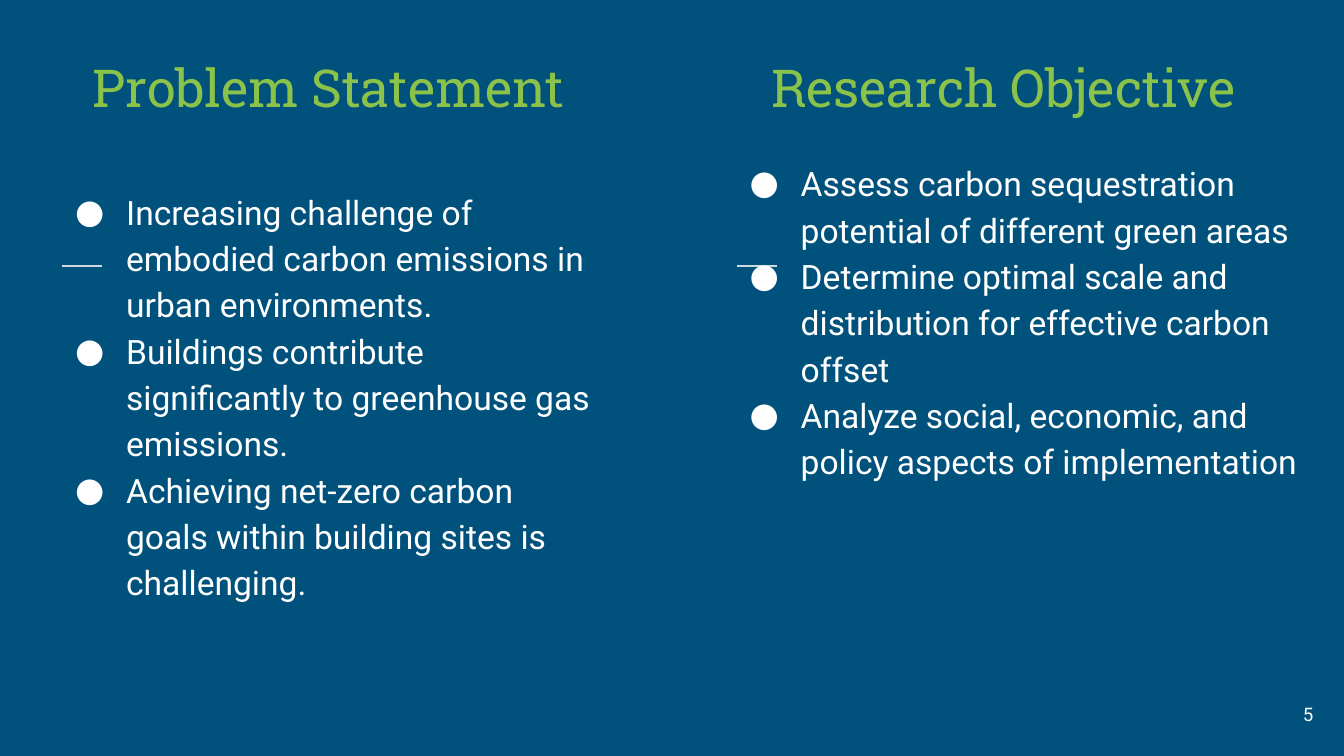
from dataclasses import dataclass

from lxml.etree import SubElement
from pptx import Presentation
from pptx.dml.color import RGBColor
from pptx.enum.shapes import MSO_CONNECTOR
from pptx.enum.text import MSO_ANCHOR, PP_ALIGN
from pptx.oxml.ns import qn
from pptx.util import Inches, Pt


@dataclass(frozen=True)
class Theme:
    back: str = "00517C"
    head: str = "8BC34A"
    text: str = "FFFFFF"
    rule: str = "CFD8DC"
    slab: str = "Roboto Slab"
    sans: str = "Roboto"
    large: int = 28
    body: int = 18
    small: int = 10


THEME = Theme()

COLUMNS = [
    (0.34, 4.21, 4.07, 0.31, "Problem Statement", [
        "Increasing challenge of embodied carbon emissions in urban environments.",
        "Buildings contribute significantly to greenhouse gas emissions.",
        "Achieving net-zero carbon goals within building sites is challenging.",
    ]),
    (5.36, 4.5, 4.32, 0.1, "Research Objective", [
        "Assess carbon sequestration potential of different green areas",
        "Determine optimal scale and distribution for effective carbon offset",
        "Analyze social, economic, and policy aspects of implementation",
    ]),
]


def add_text(slide, box, lines, font, size, color, align=PP_ALIGN.LEFT):
    frame = slide.shapes.add_textbox(*map(Inches, box)).text_frame
    frame.word_wrap = True
    frame.margin_left = frame.margin_right = Inches(0.1)
    frame.margin_top = frame.margin_bottom = Inches(0.1)
    frame.text = "\n".join(lines)
    for para in frame.paragraphs:
        para.alignment = align
        para.font.name = font
        para.font.size = Pt(size)
        para.font.color.rgb = RGBColor.from_string(color)
    return frame


def add_rule(slide, left, top, width):
    rule = slide.shapes.add_connector(
        MSO_CONNECTOR.STRAIGHT,
        Inches(left), Inches(top), Inches(left + width), Inches(top))
    rule.line.color.rgb = RGBColor.from_string(THEME.rule)
    rule.line.width = Pt(0.75)
    SubElement(rule._element.spPr, qn("a:effectLst"))


def add_list(slide, box, inset, items):
    frame = add_text(slide, box, items, THEME.sans, THEME.body, THEME.text)
    frame.margin_top = Inches(inset)
    for para in frame.paragraphs:
        para.line_spacing = 1.15
        props = para._p.get_or_add_pPr()
        props.set("marL", str(Inches(0.5)))
        props.set("indent", str(Inches(-0.38)))
        color = SubElement(props, qn("a:buClr"))
        SubElement(color, qn("a:srgbClr"), val=THEME.text)
        SubElement(props, qn("a:buFont"), typeface=THEME.sans)
        SubElement(props, qn("a:buChar"), char="●")


def add_column(slide, left, width, height, inset, title, items):
    add_text(slide, (left, 0.31, 4.21, 0.68), [title],
             THEME.slab, THEME.large, THEME.head, PP_ALIGN.CENTER)
    add_rule(slide, left + 0.12, 1.98, 0.3)
    add_list(slide, (left, 1.07, width, height), inset, items)


def main():
    deck = Presentation()
    deck.slide_width = Inches(10)
    deck.slide_height = Inches(10) * 9 // 16
    slide = deck.slides.add_slide(deck.slide_layouts[6])
    fill = slide.background.fill
    fill.solid()
    fill.fore_color.rgb = RGBColor.from_string(THEME.back)
    for column in COLUMNS:
        add_column(slide, *column)
    number = add_text(slide, (9.27, 5.1, 0.6, 0.43), ["5"],
                      THEME.sans, THEME.small, THEME.text, PP_ALIGN.RIGHT)
    number.vertical_anchor = MSO_ANCHOR.MIDDLE
    deck.save("out.pptx")


if __name__ == "__main__":
    main()
